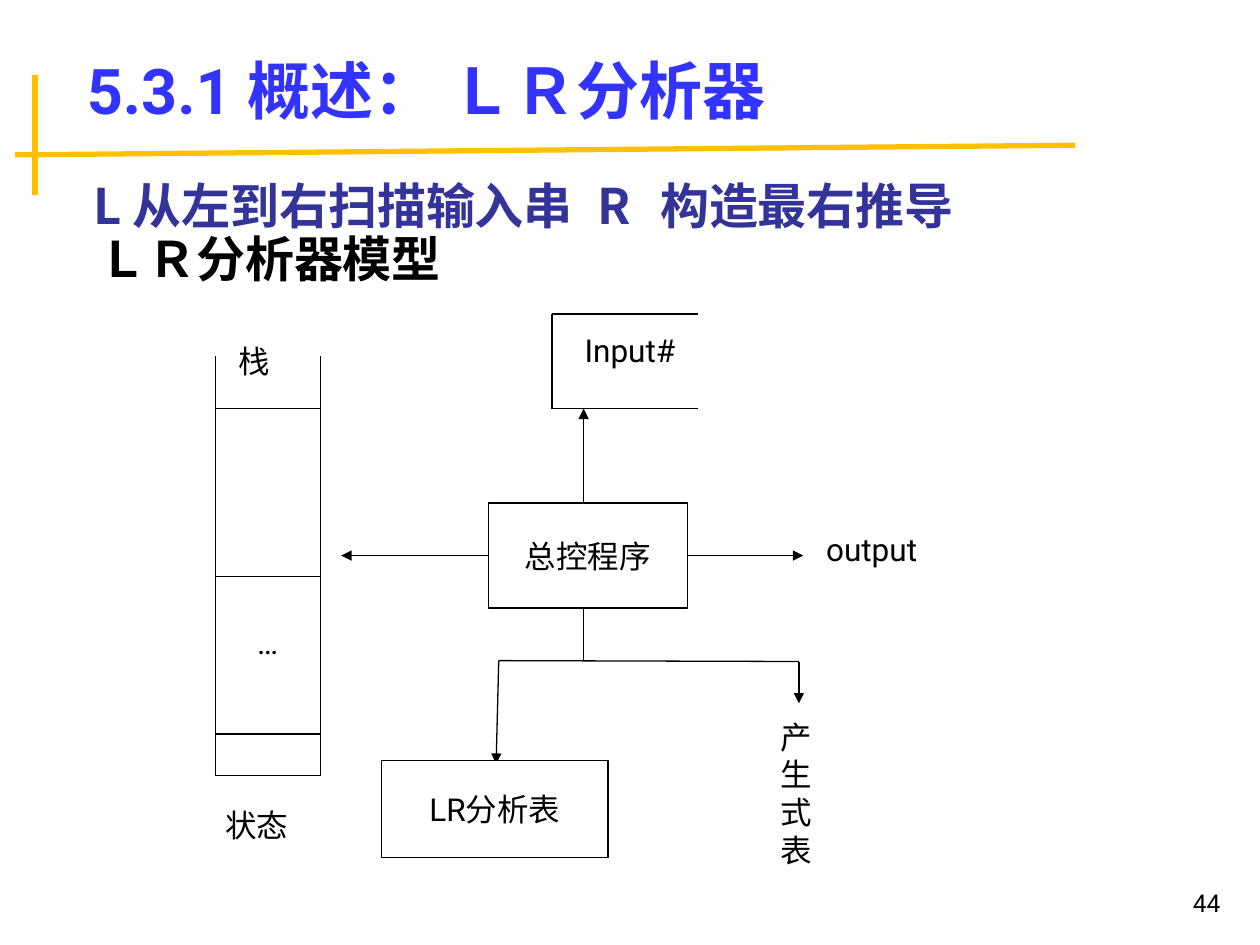
from dataclasses import dataclass

import pptx
import pptx.dml.color
import pptx.enum.shapes
import pptx.enum.text
import pptx.oxml
import pptx.oxml.ns
import pptx.util
import lxml.etree

Pt = pptx.util.Pt
qn = pptx.oxml.ns.qn
ALIGN = pptx.enum.text.PP_ALIGN
ANCHOR = pptx.enum.text.MSO_ANCHOR


@dataclass(frozen=True)
class Theme:
    ink: str = "000000"
    paper: str = "FFFFFF"
    heading: str = "3333FF"
    definition: str = "333399"
    rule: str = "FFC000"
    latin: str = "Roboto"
    han: str = "Noto Sans CJK SC"
    title_font: str = "Noto Sans CJK JP"
    heading_size: float = 36
    title_size: float = 28
    label_size: float = 18
    number_size: float = 14
    thin: float = 0.75
    thick: float = 3


THEME = Theme()


def rgb(color):
    return pptx.dml.color.RGBColor.from_string(color)


def add_run(paragraph, text, size=THEME.label_size, color=THEME.ink,
            bold=False, latin=THEME.latin, han=THEME.han):
    run = paragraph.add_run()
    run.text = text
    run.font.size = Pt(size)
    run.font.bold = bold
    run.font.name = latin
    run.font.color.rgb = rgb(color)
    lxml.etree.SubElement(run.font._element, qn("a:ea")).set("typeface", han)


def add_label(slide, left, top, width, height, text, align=ALIGN.LEFT,
              anchor=ANCHOR.TOP, **style):
    frame = slide.shapes.add_textbox(Pt(left), Pt(top), Pt(width), Pt(height)).text_frame
    frame.word_wrap = True
    frame.vertical_anchor = anchor
    frame.paragraphs[0].alignment = align
    add_run(frame.paragraphs[0], text, **style)


def add_cell(slide, left, top, width, height, text=""):
    cell = slide.shapes.add_shape(pptx.enum.shapes.MSO_SHAPE.RECTANGLE,
                                  Pt(left), Pt(top), Pt(width), Pt(height))
    cell.shadow.inherit = False
    cell.fill.solid()
    cell.fill.fore_color.rgb = rgb(THEME.paper)
    cell.line.color.rgb = rgb(THEME.ink)
    cell.line.width = Pt(THEME.thin)
    if text:
        frame = cell.text_frame
        frame.word_wrap = False
        frame.vertical_anchor = ANCHOR.MIDDLE
        frame.paragraphs[0].alignment = ALIGN.CENTER
        add_run(frame.paragraphs[0], text)
    return cell


def add_line(slide, x1, y1, x2, y2, arrow=False, color=THEME.ink, weight=THEME.thin):
    line = slide.shapes.add_connector(pptx.enum.shapes.MSO_CONNECTOR.STRAIGHT,
                                      Pt(x1), Pt(y1), Pt(x2), Pt(y2))
    line.line.color.rgb = rgb(color)
    line.line.width = Pt(weight)
    properties = line._element.spPr
    if arrow:
        tail = lxml.etree.SubElement(properties.find(qn("a:ln")), qn("a:tailEnd"))
        tail.set("type", "triangle")
    lxml.etree.SubElement(properties, qn("a:effectLst"))


def add_heading(slide, left, top, width, height):
    add_line(slide, left, top + 62.5, left + 606, top + 57,
             color=THEME.rule, weight=THEME.thick)
    add_line(slide, left + 11.5, top + 17, left + 11.5, top + 85.5,
             color=THEME.rule, weight=THEME.thick)
    add_label(slide, left + 34, top, width - 34, height, "5.3.1 概述： ＬＲ分析器",
              size=THEME.heading_size, color=THEME.heading, bold=True)


def add_definitions(slide, left, top, width, height):
    title = slide.shapes.title
    title.left, title.top, title.width, title.height = map(Pt, (left, top, width, height))
    frame = title.text_frame
    frame.auto_size = pptx.enum.text.MSO_AUTO_SIZE.NONE
    frame.word_wrap = True
    frame.vertical_anchor = ANCHOR.BOTTOM
    lines = (("L 从左到右扫描输入串\tR\t构造最右推导", THEME.definition, 10),
             ("ＬＲ分析器模型", THEME.ink, 13))
    frame.add_paragraph()
    for paragraph, (text, color, indent) in zip(frame.paragraphs, lines):
        paragraph.alignment = ALIGN.LEFT
        paragraph.line_spacing = 0.9
        properties = paragraph._p.get_or_add_pPr()
        properties.set("marL", str(Pt(indent)))
        properties.set("indent", "0")
        if "\t" in text:
            stops = lxml.etree.SubElement(properties, qn("a:tabLst"))
            for position in (353, 392):
                stop = lxml.etree.SubElement(stops, qn("a:tab"))
                stop.set("pos", str(Pt(position)))
                stop.set("algn", "l")
        add_run(paragraph, text, THEME.title_size, color, True,
                THEME.title_font, THEME.title_font)


def add_stack(slide, left, top, width, height):
    rim = top + 30
    add_cell(slide, left, rim, width, 102)
    middle = add_cell(slide, left, top + 126, width, 96, "…")
    middle.text_frame.margin_bottom = Pt(25)
    add_cell(slide, left, top + 216, width, height - 216)
    for side in (left, left + width):
        add_line(slide, side, rim, side, top)
    add_label(slide, left + 6, top - 11.5, width - 6, 36, "栈")
    add_label(slide, left - 1.5, top + height + 14, width, 29, "状态")


def add_input(slide, left, top, width, height):
    for edge in (top, top + height):
        add_line(slide, left, edge, left + width, edge)
    add_line(slide, left, top, left, top + height)
    add_label(slide, left + 11.5, top + 6, 127, 29, "Input#")


def add_controller(slide, left, top, width, height):
    axis, middle = left + 54.5, top + height / 2
    right, bottom = left + width, top + height
    add_cell(slide, left, top, width, height, "总控程序")
    add_line(slide, axis, top, axis, top - 54, arrow=True)
    add_line(slide, left, middle, left - 84, middle, arrow=True)
    add_line(slide, right, middle, right + 66, middle, arrow=True)
    add_label(slide, right + 72, middle - 18, 84, 36, "output")
    add_line(slide, axis, bottom, axis, bottom + 30)


def add_tables(slide, left, top, width, height):
    fork, end = left + 67, left + width - 24
    add_line(slide, fork, top, end, top + 0.5)
    add_line(slide, fork, top, fork - 1.5, top + 59, arrow=True)
    add_line(slide, end, top + 0.5, end, top + 24.5, arrow=True)
    add_cell(slide, left, top + 57, 129.5, 55.5, "LR分析表")
    add_label(slide, end - 17.5, top + 29, 41, height - 29, "产生式表")


def main():
    deck = pptx.Presentation()
    deck.slide_width, deck.slide_height = Pt(720), Pt(540)
    slide = deck.slides.add_slide(deck.slide_layouts[5])
    add_definitions(slide, 36, 94.5, 618.5, 73.5)
    add_label(slide, 554.5, 492, 150, 36, "44", ALIGN.RIGHT, ANCHOR.BOTTOM,
              size=THEME.number_size)
    add_controller(slide, 279, 287.5, 114, 60)
    add_input(slide, 315.5, 179.5, 83.5, 54)
    add_stack(slide, 123, 203.5, 60, 239.5)
    add_tables(slide, 218, 377.5, 262.5, 123)
    add_heading(slide, 8.5, 26, 584, 51)
    deck.save("out.pptx")


if __name__ == "__main__":
    main()
